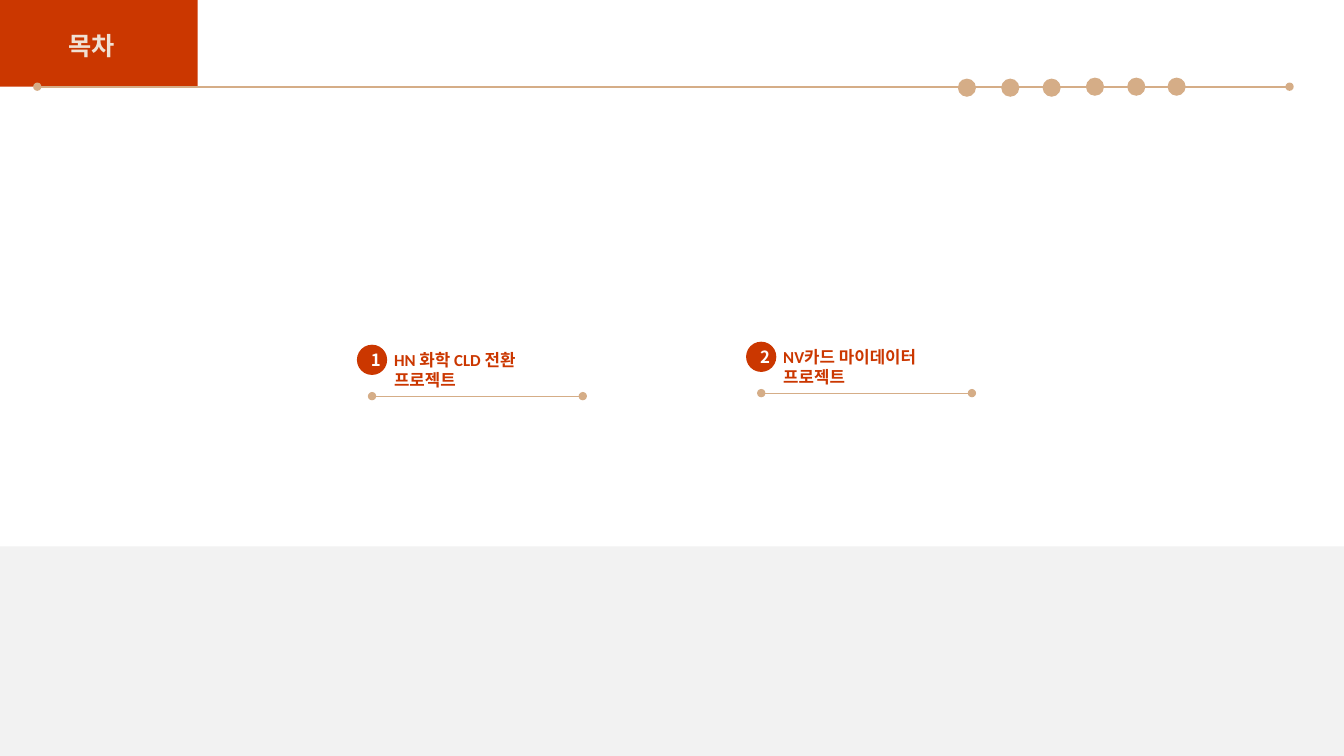
from lxml import etree
from pptx import Presentation
from pptx.dml.color import RGBColor
from pptx.enum import shapes, text
from pptx.oxml.ns import qn
from pptx.util import Inches, Pt

LATIN, HANGUL = "Calibri", "Noto Sans CJK KR"
RED, TAN, CREAM, GREY, WHITE = "CB3700", "D5AD87", "F0E1D4", "F2F2F2", "FFFFFF"

heading = "목차"
# number, lines of the entry, left and top of its number badge
entries = [
    ("1", ["HN 화학 CLD 전환", "프로젝트"], 3.54, 3.42),
    ("2", ["NV카드 마이데이터", "프로젝트"], 7.4, 3.39),
]
# left and top of the dots on the header line
header_dots = [(9.5, 0.78), (9.93, 0.78), (10.34, 0.78),
               (10.77, 0.77), (11.18, 0.77), (11.58, 0.77)]

prs = Presentation()
prs.slide_width, prs.slide_height = Inches(13.33), Inches(7.5)
slide = prs.slides.add_slide(prs.slide_layouts[5])


def rgb(color):
    return RGBColor.from_string(color)


def add_block(kind, left, top, width, height, color):
    block = slide.shapes.add_shape(
        kind, Inches(left), Inches(top), Inches(width), Inches(height))
    block.shadow.inherit = False
    block.fill.solid()
    block.fill.fore_color.rgb = rgb(color)
    block.line.fill.background()
    return block


def add_dotted_line(start, end, y, weight):
    line = slide.shapes.add_connector(
        shapes.MSO_CONNECTOR.STRAIGHT,
        Inches(start), Inches(y), Inches(end), Inches(y))
    line.line.color.rgb = rgb(TAN)
    line.line.width = Pt(weight)
    outline = line.line._get_or_add_ln()
    for end_mark in ("a:headEnd", "a:tailEnd"):
        etree.SubElement(outline, qn(end_mark), type="oval")
    etree.SubElement(line._element.spPr, qn("a:effectLst"))


def write(frame, lines, size, color, align, font=LATIN):
    for i, words in enumerate(lines):
        paragraph = frame.paragraphs[0] if i == 0 else frame.add_paragraph()
        paragraph.alignment = align
        run = paragraph.add_run()
        run.text = words
        run.font.size, run.font.bold = Pt(size), True
        run.font.name = font
        run.font.color.rgb = rgb(color)
        etree.SubElement(run.font._element, qn("a:ea"), typeface=HANGUL)


# Background band and header
add_block(shapes.MSO_SHAPE.RECTANGLE, 0, 5.42, 13.33, 2.08, GREY)
add_block(shapes.MSO_SHAPE.RECTANGLE, 0, 0, 1.96, 0.86, RED)
add_dotted_line(0.37, 12.79, 0.86, 1.5)
for left, top in header_dots:
    add_block(shapes.MSO_SHAPE.OVAL, left, top, 0.18, 0.18, TAN)

# Title, brought in front of the red block
title = slide.shapes.title
title.left, title.top = Inches(0.58), Inches(0.25)
title.width, title.height = Inches(0.71), Inches(0.4)
title.text_frame.auto_size = text.MSO_AUTO_SIZE.NONE
title.text_frame.word_wrap = False
title.text_frame.vertical_anchor = text.MSO_ANCHOR.TOP
write(title.text_frame, [heading], 18, CREAM, text.PP_ALIGN.LEFT)
slide.shapes._spTree.append(title._element)

# Contents entries: badge, words and underline
for number, lines, left, top in entries:
    badge = add_block(shapes.MSO_SHAPE.OVAL, left, top, 0.3, 0.3, RED)
    frame = badge.text_frame
    frame.word_wrap = False
    frame.margin_left, frame.margin_right = Inches(0.1), Inches(0.02)
    frame.margin_top = frame.margin_bottom = 0
    frame.vertical_anchor = text.MSO_ANCHOR.MIDDLE
    write(frame, [number], 12, WHITE, text.PP_ALIGN.CENTER, HANGUL)

    label = slide.shapes.add_textbox(
        Inches(left + 0.27), Inches(top), Inches(1.9), Inches(0.5))
    label.text_frame.word_wrap = True
    write(label.text_frame, lines, 12, RED, text.PP_ALIGN.LEFT)

    add_dotted_line(left + 0.15, left + 2.24, top + 0.51, 0.75)

prs.save("out.pptx")
